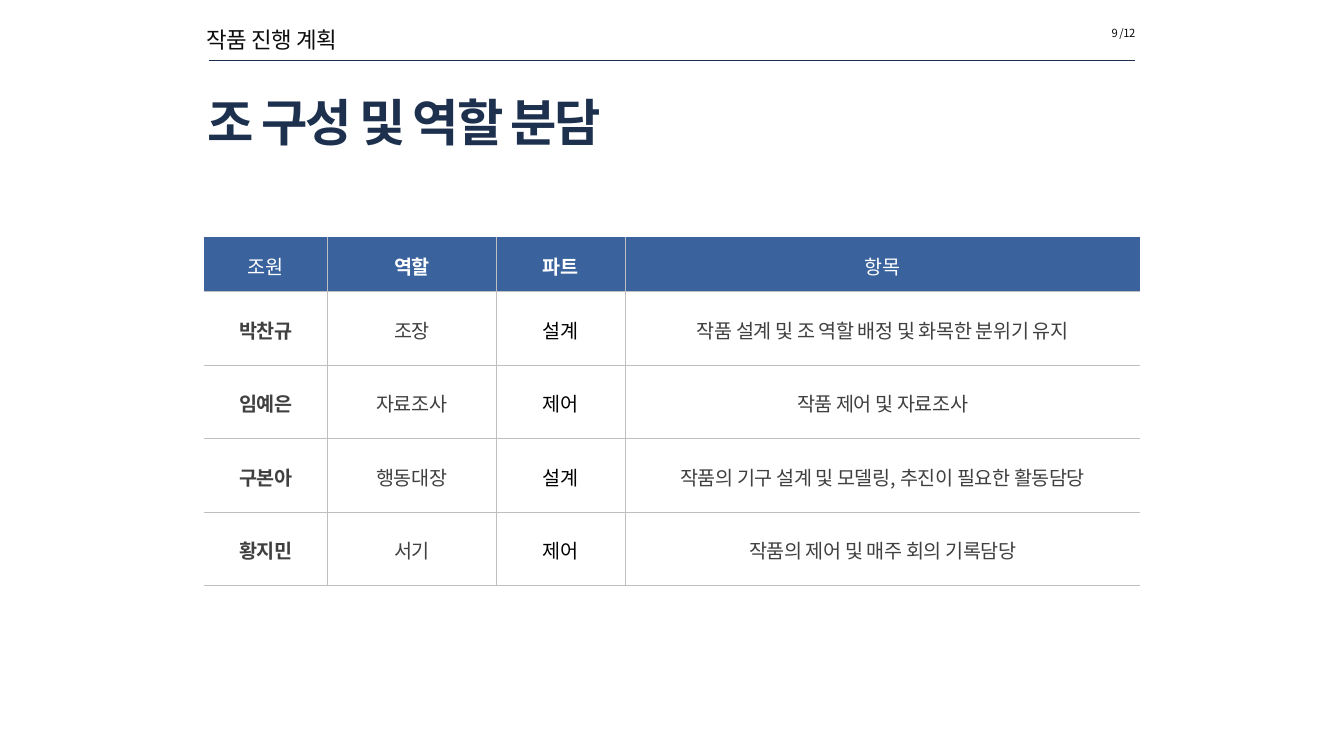
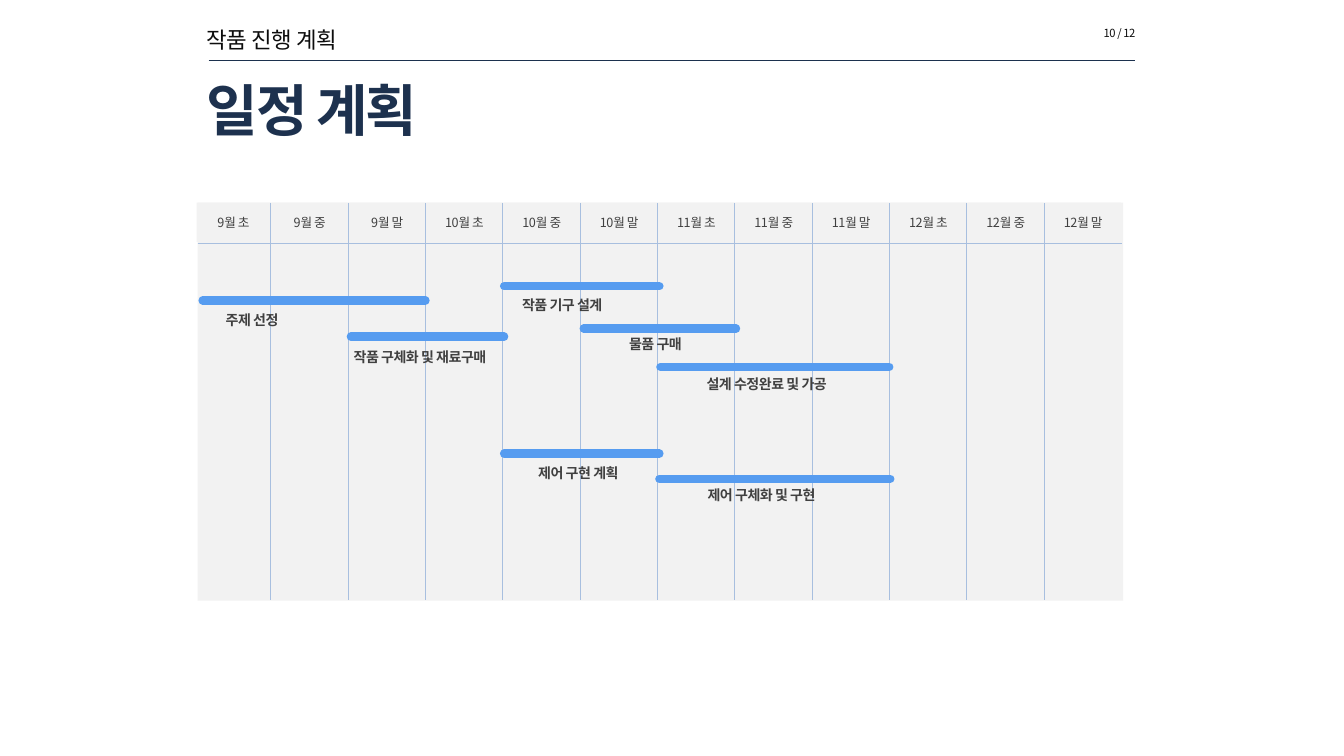
from itertools import product

from lxml import etree
from pptx import Presentation
from pptx.dml.color import RGBColor
from pptx.enum import shapes, text
from pptx.oxml.ns import qn
from pptx.util import Inches, Pt


class Theme:
    font = "Noto Sans CJK KR"
    navy, rule, ink, grey = "1D314E", "1C314E", "0D0D0D", "404040"
    black, white = "000000", "FFFFFF"
    head, edge = "3A639E", "BFBFBF"
    panel, grid, bar = "F2F2F2", "A8BFDF", "569CF0"
    chapter, page, cell, month, label = 16, 8, 14, 9, 10


LEFT, CENTER, RIGHT = text.PP_ALIGN.LEFT, text.PP_ALIGN.CENTER, text.PP_ALIGN.RIGHT


def write(frame, words, size, color=Theme.grey, bold=False, align=LEFT,
          space=None, track=-0.3, wrap=True, grow=False):
    """Fill a text frame with one formatted line; track is letter spacing in points."""
    frame.word_wrap = wrap
    if grow:
        frame.auto_size = text.MSO_AUTO_SIZE.SHAPE_TO_FIT_TEXT
    para = frame.paragraphs[0]
    para.alignment = align
    if space:
        para.line_spacing = space
    run = para.add_run()
    run.text = words
    font = run.font
    font.name, font.size, font.bold = Theme.font, Pt(size), bold
    font.color.rgb = RGBColor.from_string(color)
    props = run._r.get_or_add_rPr()
    props.set("spc", str(round(track * 100)))
    etree.SubElement(props, qn("a:ea"), typeface=Theme.font)


def line(slide, x1, y1, x2, y2, color, width, cap="flat"):
    link = slide.shapes.add_connector(
        shapes.MSO_CONNECTOR.STRAIGHT, Inches(x1), Inches(y1), Inches(x2), Inches(y2))
    link.line.color.rgb = RGBColor.from_string(color)
    link.line.width = Pt(width)
    link.line._get_or_add_ln().set("cap", cap)
    etree.SubElement(link._element.spPr, qn("a:effectLst"))


deck = Presentation()
deck.slide_width, deck.slide_height = Inches(13.33), Inches(7.5)

# Shared header: chapter, rule, page number and title
pages = [
    ("조 구성 및 역할 분담", 36, (1.96, 0.84, 9.27, 0.73), "9 /12"),
    ("일정 계획", 40, (1.95, 0.67, 9.28, 0.83), "10 / 12"),
]
for name, size, place, page in pages:
    slide = deck.slides.add_slide(deck.slide_layouts[5])
    title = slide.shapes.title
    title.left, title.top, title.width, title.height = map(Inches, place)
    title.text_frame.auto_size = text.MSO_AUTO_SIZE.NONE
    title.text_frame.vertical_anchor = text.MSO_ANCHOR.MIDDLE
    write(title.text_frame, name, size, Theme.navy, bold=True, track=-1.5)
    for left, high, words, size, align in [
        (1.95, 0.37, "작품 진행 계획", Theme.chapter, LEFT),
        (9.63, 0.24, page, Theme.page, RIGHT),
    ]:
        box = slide.shapes.add_textbox(Inches(left), Inches(0.21), Inches(1.73), Inches(high))
        write(box.text_frame, words, size, Theme.ink, align=align, grow=True)
    line(slide, 2.07, 0.6, 11.26, 0.6, Theme.rule, 0.25)
team, plan = deck.slides

# Team table
rows = [
    ("조원", "역할", "파트", "항목"),
    ("박찬규", "조장", "설계", "작품 설계 및 조 역할 배정 및 화목한 분위기 유지"),
    ("임예은", "자료조사", "제어", "작품 제어 및 자료조사"),
    ("구본아", "행동대장", "설계", "작품의 기구 설계 및 모델링, 추진이 필요한 활동담당"),
    ("황지민", "서기", "제어", "작품의 제어 및 매주 회의 기록담당"),
]
wide = [1.23, 1.67, 1.28, 5.11]
tall = [0.54] + [0.73] * 4
table = team.shapes.add_table(len(rows), len(wide), Inches(2.02), Inches(2.35),
                              Inches(sum(wide)), Inches(sum(tall))).table
table.first_row = table.horz_banding = False
for col, width in zip(table.columns, wide):
    col.width = Inches(width)
for row, height in zip(table.rows, tall):
    row.height = Inches(height)

for r, c in product(range(len(rows)), range(len(wide))):
    cell = table.cell(r, c)
    cell.vertical_anchor = text.MSO_ANCHOR.MIDDLE
    props = cell._tc.get_or_add_tcPr()
    sides = {"L": c > 0, "R": c < len(wide) - 1, "T": r > 0, "B": True}
    for side, shown in sides.items():
        edge = etree.SubElement(props, qn(f"a:ln{side}"), w=str(Pt(0.5)))
        if shown:
            fill = etree.SubElement(edge, qn("a:solidFill"))
            etree.SubElement(fill, qn("a:srgbClr"), val=Theme.edge)
        else:
            etree.SubElement(edge, qn("a:noFill"))
    if r == 0:
        cell.fill.solid()
        cell.fill.fore_color.rgb = RGBColor.from_string(Theme.head)
        color, bold = Theme.white, c in (1, 2)
    else:
        cell.fill.background()
        color, bold = Theme.black if c == 2 else Theme.grey, c == 0
    write(cell.text_frame, rows[r][c], Theme.cell, color, bold, CENTER, space=1.1)

# Schedule grid
start, top, foot = 1.92, 2.01, 5.95
step = (10.36 - 2.69) / 10
months = [f"{month}월 {part}" for month, part in product(range(9, 13), "초중말")]
panes = [(1.96, 9.18, 3.95, "")]
for i, month in enumerate(months):
    left = max(1.95, start + i * step + 0.01)
    panes.append((left, start + i * step + 0.76 - left, 0.39, month))
for left, width, height, words in panes:
    pane = plan.shapes.add_shape(shapes.MSO_SHAPE.RECTANGLE, Inches(left), Inches(top),
                                 Inches(width), Inches(height))
    pane.shadow.inherit = False
    pane.fill.solid()
    pane.fill.fore_color.rgb = RGBColor.from_string(Theme.panel)
    pane.line.fill.background()
    if words:
        pane.text_frame.vertical_anchor = text.MSO_ANCHOR.MIDDLE
        write(pane.text_frame, words, Theme.month, align=CENTER, wrap=False)
line(plan, 1.96, 2.41, 11.13, 2.41, Theme.grid, 0.5)
for i in range(1, len(months)):
    line(plan, start + i * step, top, start + i * step, foot, Theme.grid, 0.75)

# Tasks: bar from, bar to, bar height, then label left, top, width
tasks = [
    ("주제 선정", 2.01, 4.22, 2.98, 2.14, 3.02, 2.2),
    ("작품 구체화 및 재료구매", 3.48, 5, 3.34, 3.41, 3.39, 2.17),
    ("작품 기구 설계", 5, 6.54, 2.84, 5.08, 2.88, 2),
    ("물품 구매", 5.79, 7.3, 3.26, 6.14, 3.26, 1.05),
    ("설계 수정완료 및 가공", 6.55, 8.82, 3.64, 6.91, 3.66, 3.06),
    ("제어 구현 계획", 5, 6.54, 4.5, 5.24, 4.54, 1.96),
    ("제어 구체화 및 구현", 6.54, 8.83, 4.75, 6.92, 4.76, 1.96),
]
for words, begin, end, level, left, high, width in tasks:
    line(plan, begin, level, end, level, Theme.bar, 6, cap="rnd")
    box = plan.shapes.add_textbox(Inches(left), Inches(high), Inches(width), Inches(0.29))
    write(box.text_frame, words, Theme.label, bold=True, space=1.1, grow=True)

deck.save("out.pptx")
